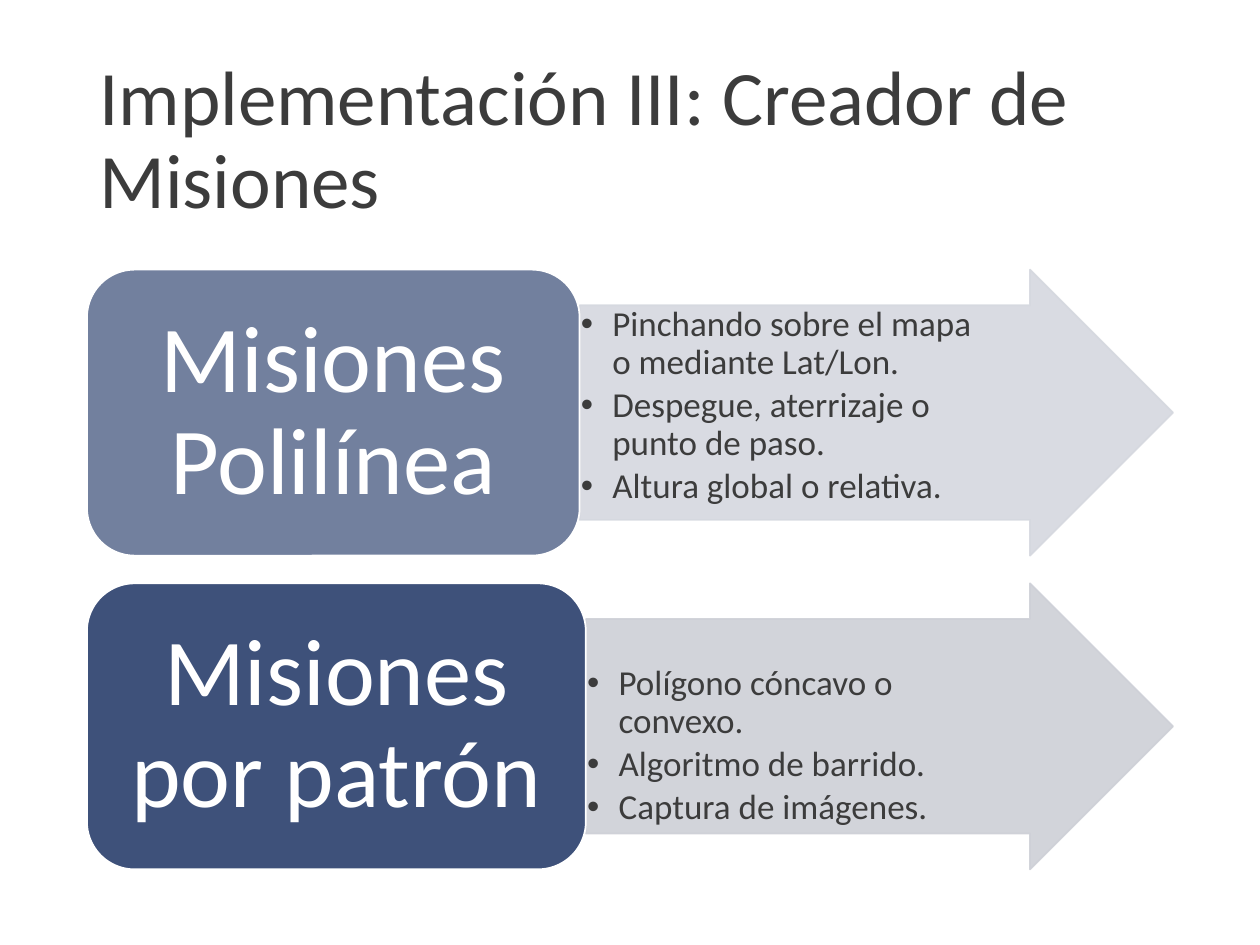
from pptx import Presentation
from pptx.dml.color import RGBColor
from pptx.enum.shapes import MSO_SHAPE
from pptx.enum.text import MSO_ANCHOR, PP_ALIGN
from pptx.oxml.ns import qn
from pptx.util import Inches, Pt
from lxml import etree

ARROW, ROUNDED = MSO_SHAPE.RIGHT_ARROW, MSO_SHAPE.ROUNDED_RECTANGLE
TOP, MIDDLE = MSO_ANCHOR.TOP, MSO_ANCHOR.MIDDLE
LEFT_ALIGN, CENTER = PP_ALIGN.LEFT, PP_ALIGN.CENTER

TITLE = "Implementación III: Creador de Misiones"
MISSIONS = [
    {"name": "Misiones Polilínea", "card": "72809E", "arrow": "D5D8DF",
     "width": 3.91, "lead": 0.01,
     "points": ["Pinchando sobre el mapa o mediante Lat/Lon.",
                "Despegue, aterrizaje o punto de paso.",
                "Altura global o relativa."]},
    {"name": "Misiones por patrón", "card": "3E517A", "arrow": "CED0D7",
     "width": 3.96, "lead": 0.37,
     "points": ["Polígono cóncavo o convexo.",
                "Algoritmo de barrido.",
                "Captura de imágenes."]},
]
THEME = {"font": "Calibri", "ink": "3C3C3C", "white": "FFFFFF",
         "title": 44, "name": 54, "point": 20}

LEFT, RIGHT = 0.69, 9.31
FIRST_TOP, ROW_HEIGHT, ROW_PITCH = 2.14, 2.27, 2.49
ARROW_OPACITY = 90


def add_bullet(p, indent=0.25):
    pPr = p._p.get_or_add_pPr()
    pPr.set("marL", str(Inches(indent)))
    pPr.set("indent", str(-Inches(indent)))
    etree.SubElement(pPr, qn("a:buFont")).set("typeface", "Arial")
    etree.SubElement(pPr, qn("a:buChar")).set("char", "•")


def write(s, lines, size, color, anchor=MIDDLE, align=LEFT_ALIGN,
          insets=(0.1, 0.05, 0.1, 0.05), bullets=False, after=0):
    """Fill a shape with one paragraph per line; insets run left, top, right, bottom."""
    tf = s.text_frame
    tf.word_wrap = True
    tf.vertical_anchor = anchor
    (tf.margin_left, tf.margin_top,
     tf.margin_right, tf.margin_bottom) = map(Inches, insets)
    for i, line in enumerate(lines):
        p = tf.add_paragraph() if i else tf.paragraphs[0]
        p.alignment = align
        p.line_spacing = 0.9
        p.space_after = Pt(after)
        if bullets:
            add_bullet(p)
        r = p.add_run()
        r.text = line
        r.font.name = THEME["font"]
        r.font.size = Pt(size)
        r.font.color.rgb = RGBColor.from_string(color)


def add_block(slide, kind, left, top, width, fill, line, opacity=None):
    s = slide.shapes.add_shape(kind, Inches(left), Inches(top),
                               Inches(width), Inches(ROW_HEIGHT))
    s.shadow.inherit = False
    s.fill.solid()
    s.fill.fore_color.rgb = RGBColor.from_string(fill)
    s.line.color.rgb = RGBColor.from_string(line)
    s.line.width = Pt(1)
    if opacity is not None:
        for color in s._element.spPr.iter(qn("a:srgbClr")):
            etree.SubElement(color, qn("a:alpha")).set("val", str(opacity * 1000))
    return s


def add_mission(slide, mission, top):
    split = LEFT + mission["width"]
    arrow = add_block(slide, ARROW, split, top, RIGHT - split,
                      mission["arrow"], mission["arrow"], ARROW_OPACITY)
    arrow.adjustments[0], arrow.adjustments[1] = 0.75, 0.5
    # The right inset keeps the text out of the arrow head.
    write(arrow, mission["points"], THEME["point"], THEME["ink"], anchor=TOP,
          insets=(0.01, mission["lead"], 0.58, 0.01), bullets=True, after=3)
    card = add_block(slide, ROUNDED, LEFT, top, mission["width"],
                     mission["card"], THEME["white"])
    write(card, [mission["name"]], THEME["name"], THEME["white"],
          align=CENTER, insets=(0.23, 0.11, 0.23, 0.11))


def main():
    prs = Presentation()
    prs.slide_width, prs.slide_height = Inches(10), Inches(7.5)
    slide = prs.slides.add_slide(prs.slide_layouts[6])
    title = slide.shapes.add_textbox(Inches(LEFT), Inches(0.4),
                                     Inches(RIGHT - LEFT), Inches(1.45))
    write(title, [TITLE], THEME["title"], THEME["ink"])
    for i, mission in enumerate(MISSIONS):
        add_mission(slide, mission, FIRST_TOP + i * ROW_PITCH)
    prs.save("out.pptx")


if __name__ == "__main__":
    main()
